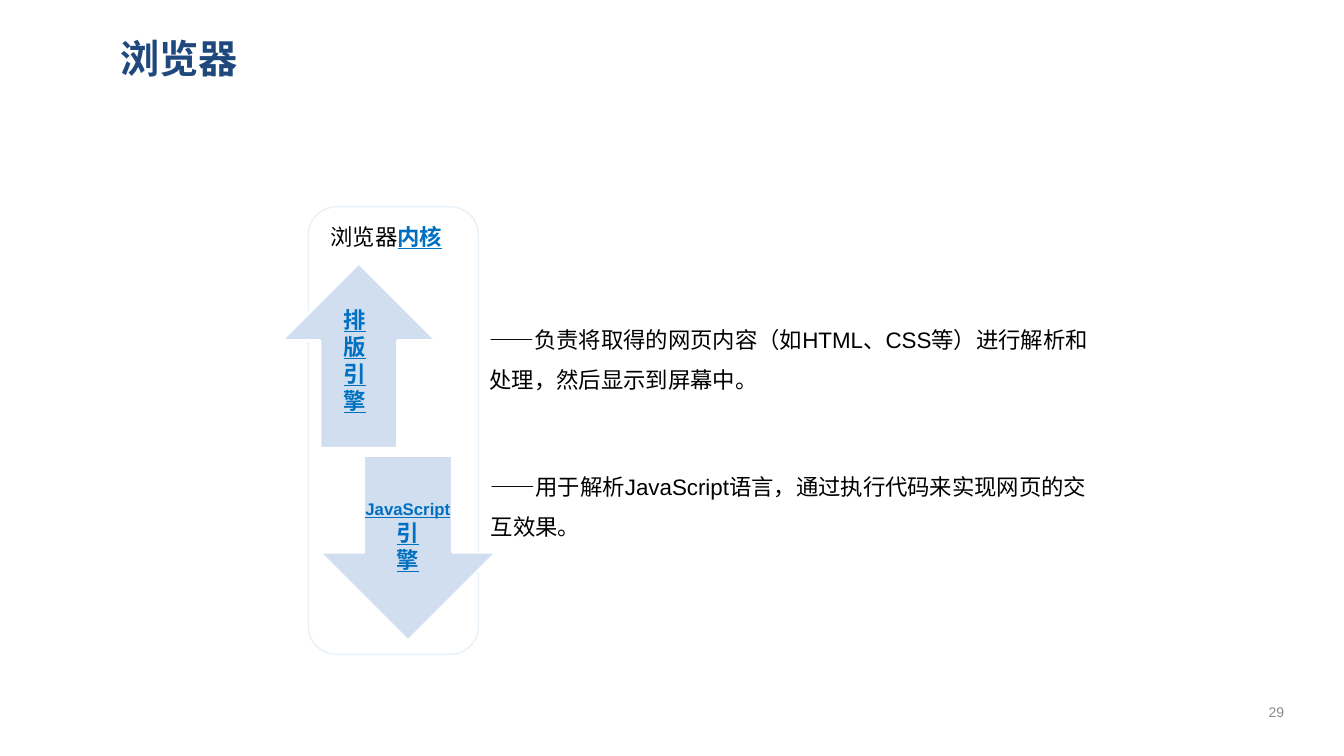
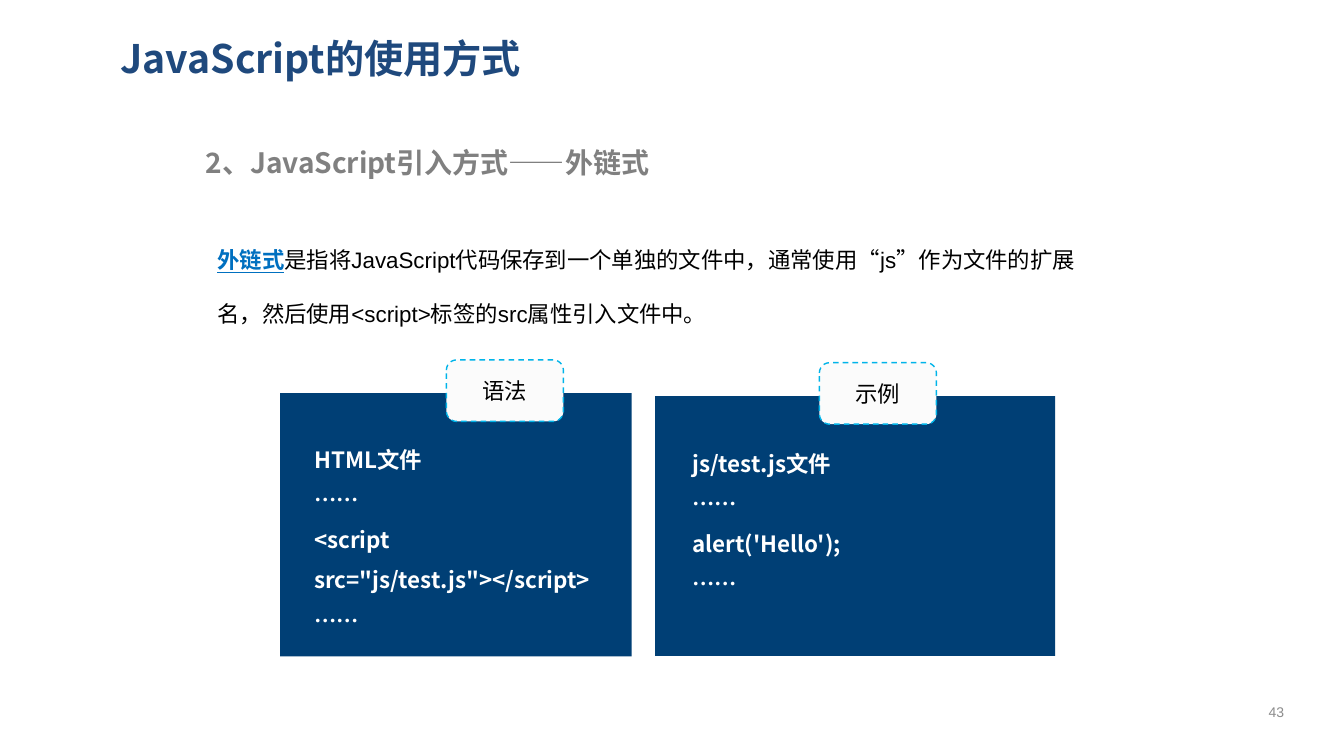
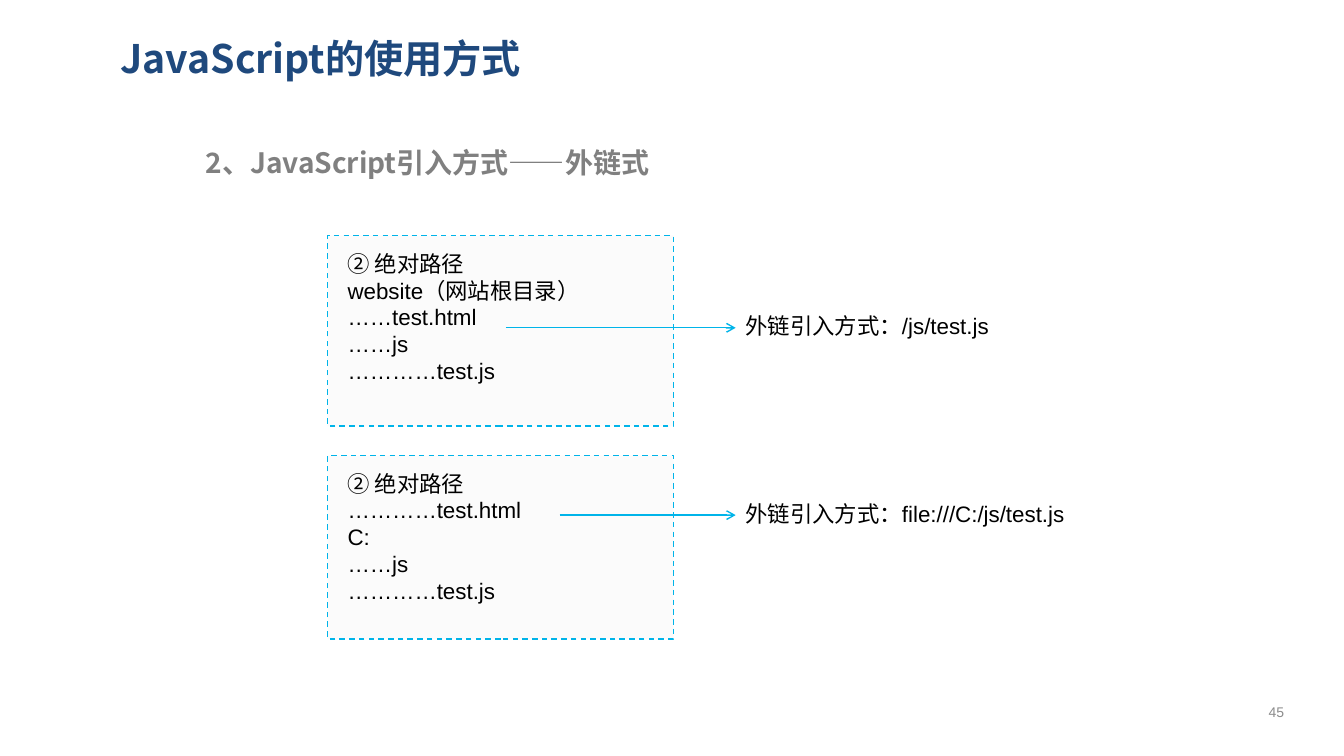
from lxml import etree
from pptx import Presentation
from pptx import util as u
from pptx.dml.color import RGBColor
from pptx.enum import dml, shapes, text
from pptx.oxml.ns import qn

COLORS = {
    "title": "1F497D", "subtitle": "808080", "number": "8C8C8C", "body": "000000",
    "key": "0070C0", "white": "FFFFFF", "card_line": "E7F1F9", "arrow": "D0DEF0",
    "panel": "003F75", "pale": "FBFBFB", "accent": "00B4E9",
}
SANS, CJK = "Arial", "Noto Sans CJK SC"
KEY = dict(color="key", bold=True, underline=True)
SHAPE = shapes.MSO_SHAPE
CENTER = text.PP_ALIGN.CENTER
MIDDLE = text.MSO_ANCHOR.MIDDLE

# Content: boxes are (left, top, width, height) in centimetres.
# A paragraph is a string or a list of (text, format) runs.
USAGE_TITLE = "JavaScript的使用方式"
USAGE_SUBTITLE = "2、JavaScript引入方式——外链式"

KERNEL_CARD = (7.77, 5.21, 4.29, 11.28)
KERNEL_LABEL = [[("浏览器", {}), ("内核", KEY)]]
ENGINES = [
    dict(arrow=SHAPE.UP_ARROW, box=(7.09, 6.63, 3.91, 4.67),
         label=["排版引擎"], label_box=(8.41, 7.59, 1.24, 3.33), align=None,
         role="——负责将取得的网页内容（如HTML、CSS等）进行解析和处理，然后显示到屏幕中。",
         role_box=(12.09, 7.75, 15.62, 2.41)),
    dict(arrow=SHAPE.DOWN_ARROW, box=(8.05, 11.48, 4.47, 4.67),
         label=[[("JavaScript", dict(size=12))], "引", "擎"],
         label_box=(8.31, 12.45, 3.94, 2.39), align=CENTER,
         role="——用于解析JavaScript语言，通过执行代码来实现网页的交互效果。",
         role_box=(12.12, 11.46, 15.6, 2.41)),
]

EXTERNAL_INTRO = [[
    ("外链式", KEY),
    ("是指将JavaScript代码保存到一个单独的文件中，通常使用“js”作为文件的扩展名，"
     "然后使用<script>标签的src属性引入文件中。", {}),
]]
CODE_PANELS = [
    dict(tab="语法", tab_left=11.25, box=(7.06, 9.91, 8.86, 6.63),
         code_box=(7.67, 10.77, 8.31, 5.38),
         code=["HTML文件", "……", '<script src="js/test.js"></script>', "……"]),
    dict(tab="示例", tab_left=20.65, box=(16.51, 9.98, 10.08, 6.55),
         code_box=(17.2, 10.87, 9.14, 4.37),
         code=["js/test.js文件", "……", "alert('Hello');", "……"]),
]
TAB_SIZE, TAB_RISE = (2.95, 1.55), 0.84

PATH_LEFT, PATH_WIDTH, ARROW_END = 8.26, 8.71, 18.54
PATHS = [
    dict(top=5.94, height=4.8, arrow_from=(12.75, 8.26),
         tree=["② 绝对路径", "website（网站根目录）", "……test.html", "……js", "…………test.js"],
         usage="外链引入方式：/js/test.js", usage_width=7.49),
    dict(top=11.48, height=4.62, arrow_from=(14.1, 12.98),
         tree=["② 绝对路径", "…………test.html", "C:", "……js", "…………test.js"],
         usage="外链引入方式：file:///C:/js/test.js", usage_width=9.68),
]


# Drawing helpers
def rgb(name):
    return RGBColor.from_string(COLORS[name])


def place(box):
    return [u.Cm(value) for value in box]


def write(frame, paragraphs, size=16, font=SANS, color="body", bold=False,
          underline=False, align=None, anchor=None, spacing=None, wrap=True):
    base = dict(size=size, color=color, bold=bold, underline=underline)
    frame.word_wrap = wrap
    if anchor is not None:
        frame.vertical_anchor = anchor
    for index, content in enumerate(paragraphs):
        paragraph = frame.paragraphs[0] if index == 0 else frame.add_paragraph()
        paragraph.alignment = align
        paragraph.line_spacing = spacing
        for words, changes in [(content, {})] if isinstance(content, str) else content:
            style = {**base, **changes}
            run = paragraph.add_run()
            run.text = words
            run.font.size = u.Pt(style["size"])
            run.font.bold = style["bold"]
            run.font.underline = style["underline"]
            run.font.color.rgb = rgb(style["color"])
            run.font.name = font
            east_asian = etree.SubElement(run.font._element, qn("a:ea"))
            east_asian.set("typeface", CJK)


def add_text(slide, box, paragraphs, **style):
    write(slide.shapes.add_textbox(*place(box)).text_frame, paragraphs, **style)


def add_block(slide, kind, box, fill, line=None, width=1, dashed=False):
    shape = slide.shapes.add_shape(kind, *place(box))
    shape.shadow.inherit = False
    shape.fill.solid()
    shape.fill.fore_color.rgb = rgb(fill)
    if line is None:
        shape.line.fill.background()
    else:
        style_line(shape.line, line, width)
        if dashed:
            shape.line.dash_style = dml.MSO_LINE.DASH
    return shape


def style_line(line, color, width=1):
    line.color.rgb = rgb(color)
    line.width = u.Pt(width)


def add_arrow(slide, start, end):
    connector = slide.shapes.add_connector(shapes.MSO_CONNECTOR.STRAIGHT,
                                           *place(start + end))
    style_line(connector.line, "accent")
    etree.SubElement(connector.line._get_or_add_ln(), qn("a:tailEnd")).set("type", "arrow")
    etree.SubElement(connector._element.spPr, qn("a:effectLst"))


def add_page(presentation, title, number, subtitle=None):
    slide = presentation.slides.add_slide(presentation.slide_layouts[6])
    add_text(slide, (2.79, 0.61, 29.59, 1.7), [title], size=28, font=CJK,
             color="title", bold=True, anchor=MIDDLE)
    add_text(slide, (31.34, 17.42, 1.65, 1.02), [str(number)], size=10,
             color="number", align=CENTER, anchor=MIDDLE)
    if subtitle:
        add_text(slide, (4.93, 3.53, 23.42, 1.12), [subtitle], size=20, font=CJK,
                 color="subtitle", bold=True)
    return slide


# Slides
def build_browser(presentation):
    slide = add_page(presentation, "浏览器", 29)
    add_block(slide, SHAPE.ROUNDED_RECTANGLE, KERNEL_CARD, "white", "card_line")
    for engine in ENGINES:
        add_text(slide, engine["role_box"], [engine["role"]], spacing=1.5)
        add_block(slide, engine["arrow"], engine["box"], "arrow", "white", width=2)
        add_text(slide, engine["label_box"], engine["label"], align=engine["align"], **KEY)
    add_text(slide, (8.08, 5.49, 3.73, 1.02), KERNEL_LABEL, wrap=False)


def build_external(presentation):
    slide = add_page(presentation, USAGE_TITLE, 43, USAGE_SUBTITLE)
    add_text(slide, (5.23, 5.41, 22.48, 3.1), EXTERNAL_INTRO, spacing=2.0)
    for panel in CODE_PANELS:
        add_block(slide, SHAPE.RECTANGLE, panel["box"], "panel")
        add_text(slide, panel["code_box"], panel["code"], font=CJK, color="white",
                 bold=True, spacing=1.5)
        tab_box = (panel["tab_left"], panel["box"][1] - TAB_RISE, *TAB_SIZE)
        tab = add_block(slide, SHAPE.ROUNDED_RECTANGLE, tab_box, "pale", "accent", dashed=True)
        write(tab.text_frame, [panel["tab"]], align=CENTER, anchor=MIDDLE)


def build_paths(presentation):
    slide = add_page(presentation, USAGE_TITLE, 45, USAGE_SUBTITLE)
    for item in PATHS:
        top, height = item["top"], item["height"]
        arrow_top = item["arrow_from"][1]
        add_block(slide, SHAPE.RECTANGLE, (PATH_LEFT, top, PATH_WIDTH, height),
                  "pale", "accent", dashed=True)
        add_text(slide, (PATH_LEFT + 0.25, top + 0.23, PATH_WIDTH - 0.28, 4.1), item["tree"])
        add_arrow(slide, item["arrow_from"], (ARROW_END, arrow_top))
        add_text(slide, (ARROW_END, arrow_top - 0.51, item["usage_width"], 1.02),
                 [item["usage"]], wrap=False)


def main():
    presentation = Presentation()
    presentation.slide_width, presentation.slide_height = u.Cm(33.87), u.Cm(19.05)
    for build in (build_browser, build_external, build_paths):
        build(presentation)
    presentation.save("out.pptx")


if __name__ == "__main__":
    main()
